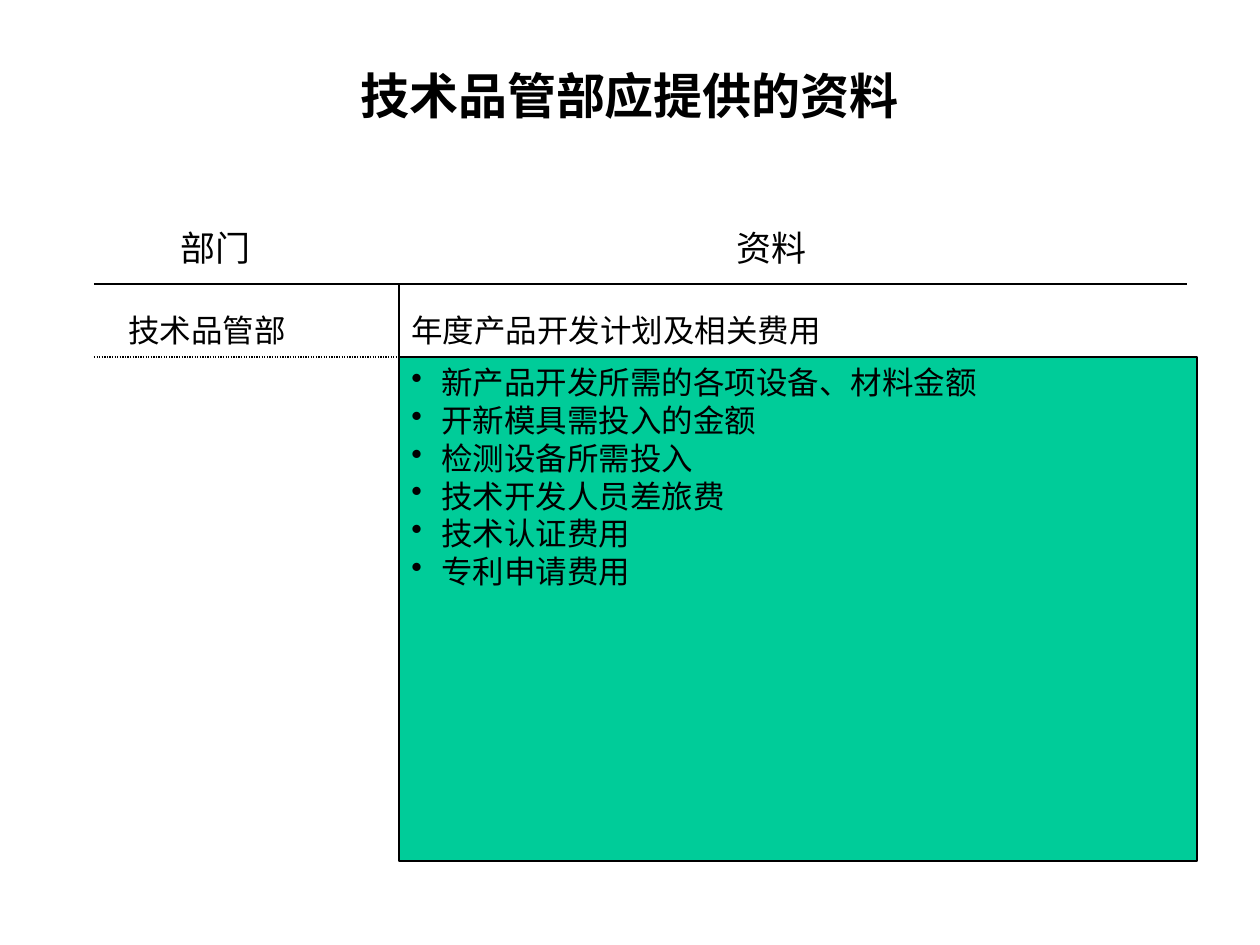
from lxml import etree
from pptx import Presentation, util as u
from pptx.dml.color import RGBColor
from pptx.enum import dml, shapes, text
from pptx.oxml.ns import qn

# Content
TITLE = "技术品管部应提供的资料"
ITEMS = [
    "新产品开发所需的各项设备、材料金额",
    "开新模具需投入的金额",
    "检测设备所需投入",
    "技术开发人员差旅费",
    "技术认证费用",
    "专利申请费用",
]

# Layout in px, 126 to the inch
LEFT, RIGHT, DIVIDER = 94, 1187, 399
HEAD_RULE, ROW_RULE, BOTTOM = 284, 357, 861
HEAD_TOP, ROW_TOP = 220, 305
PANEL_WIDTH, BULLET_INDENT = 798, 30
FONT, BLACK, GREEN = "Times New Roman", "000000", "00CC99"

# text, left, top, width, height, size, wrap
LABELS = [
    ("部门", 168, HEAD_TOP, 98, 55, 20, False),
    ("资料", 724, HEAD_TOP, 168, 55, 20, True),
    ("技术品管部", 116, ROW_TOP, 184, 50, 18, False),
    ("年度产品开发计划及相关费用", DIVIDER, ROW_TOP, 436, 50, 18, False),
]
# x1, y1, x2, y2, dash
RULES = [
    (LEFT, ROW_RULE, RIGHT, ROW_RULE, dml.MSO_LINE.ROUND_DOT),
    (DIVIDER, HEAD_RULE, DIVIDER, BOTTOM, None),
    (LEFT, HEAD_RULE, RIGHT, HEAD_RULE, None),
]


def px(n):
    return u.Emu(round(n * 914400 / 126))


def color(value):
    return RGBColor.from_string(value)


def add_run(paragraph, words, size, bold=False):
    run = paragraph.add_run()
    run.text = words
    run.font.name, run.font.size, run.font.bold = FONT, u.Pt(size), bold
    run.font.color.rgb = color(BLACK)


def add_label(slide, words, left, top, width, height, size, wrap, bold=False):
    label = slide.shapes.add_textbox(px(left), px(top), px(width), px(height))
    frame = label.text_frame
    frame.word_wrap = wrap
    add_run(frame.paragraphs[0], words, size, bold)
    return frame


def add_bullet(paragraph):
    props = paragraph._p.get_or_add_pPr()
    props.set("marL", str(px(BULLET_INDENT)))
    props.set("indent", str(-px(BULLET_INDENT)))
    bullet_color = etree.SubElement(props, qn("a:buClr"))
    etree.SubElement(bullet_color, qn("a:srgbClr")).set("val", BLACK)
    etree.SubElement(props, qn("a:buFontTx"))
    etree.SubElement(props, qn("a:buChar")).set("char", "•")


def main():
    deck = Presentation()
    deck.slide_width, deck.slide_height = px(1260), px(945)
    slide = deck.slides.add_slide(deck.slide_layouts[6])

    # Title
    title = add_label(slide, TITLE, LEFT, 53, 1071, 84, 28, True, bold=True)
    title.vertical_anchor = text.MSO_ANCHOR.MIDDLE
    title.paragraphs[0].alignment = text.PP_ALIGN.CENTER

    # Column heads and first row
    for label in LABELS:
        add_label(slide, *label).auto_size = text.MSO_AUTO_SIZE.SHAPE_TO_FIT_TEXT

    # Table rules
    for x1, y1, x2, y2, dash in RULES:
        rule = slide.shapes.add_connector(
            shapes.MSO_CONNECTOR.STRAIGHT, px(x1), px(y1), px(x2), px(y2))
        rule.line.color.rgb = color(BLACK)
        rule.line.width = u.Pt(0.75)
        if dash is not None:
            rule.line.dash_style = dash
        etree.SubElement(rule._element.spPr, qn("a:effectLst"))

    # Green panel with the list of material
    panel = slide.shapes.add_shape(
        shapes.MSO_SHAPE.RECTANGLE, px(DIVIDER), px(ROW_RULE),
        px(PANEL_WIDTH), px(BOTTOM - ROW_RULE))
    panel.shadow.inherit = False
    panel.fill.solid()
    panel.fill.fore_color.rgb = color(GREEN)
    panel.line.color.rgb = color(BLACK)
    panel.line.width = u.Pt(0.75)
    frame = panel.text_frame
    frame.word_wrap = True
    frame.vertical_anchor = text.MSO_ANCHOR.TOP
    for i, item in enumerate(ITEMS):
        paragraph = frame.add_paragraph() if i else frame.paragraphs[0]
        add_bullet(paragraph)
        paragraph.alignment = text.PP_ALIGN.LEFT
        add_run(paragraph, item, 18)

    deck.save("out.pptx")


if __name__ == "__main__":
    main()
